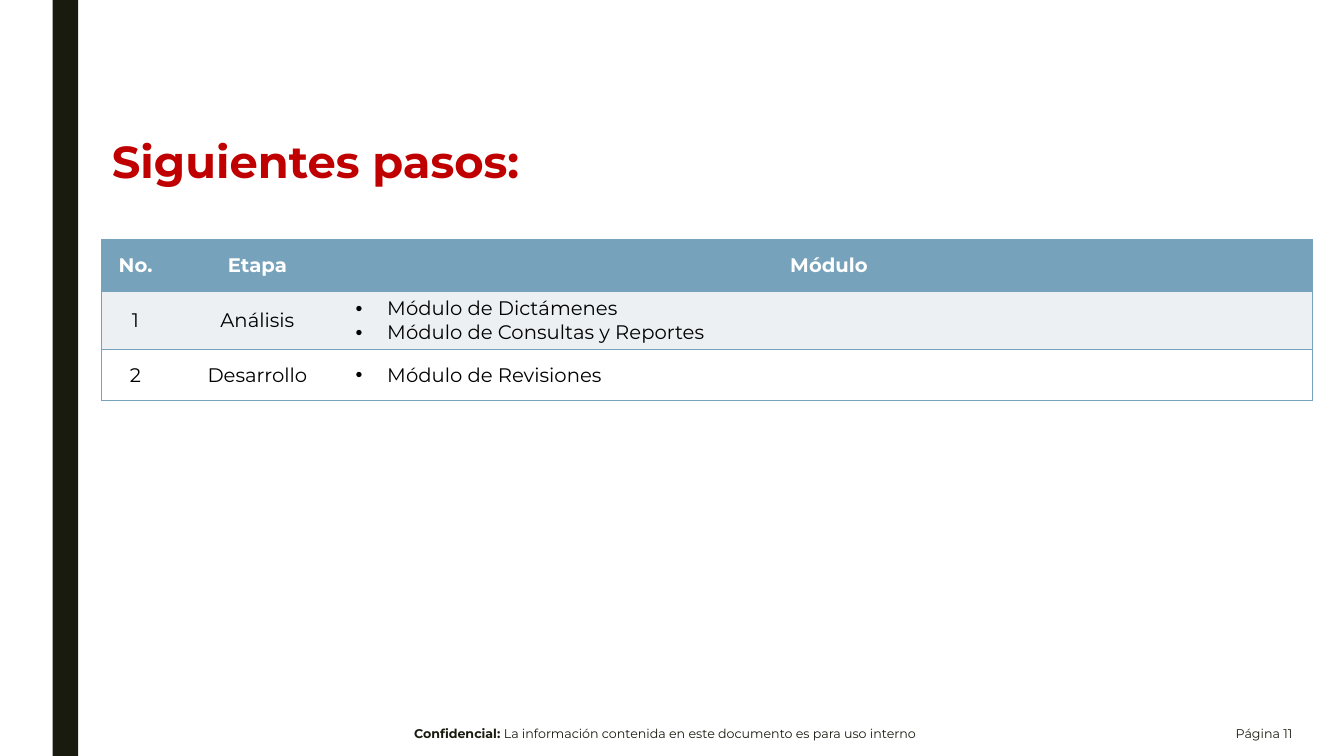
from lxml.etree import SubElement
from pptx import Presentation
from pptx.dml.color import RGBColor
from pptx.enum.shapes import MSO_SHAPE
from pptx.enum.text import MSO_ANCHOR, PP_ALIGN
from pptx.oxml.ns import qn
from pptx.util import Pt

FONT = "Montserrat"
COLOURS = {
    "dark": "191B0E",
    "red": "C00000",
    "blue": "77A2BB",
    "pale": "ECF0F3",
    "white": "FFFFFF",
    "black": "000000",
}
COLUMN_WIDTHS = (48.2, 126, 690.5)
ROW_HEIGHTS = (36.7, 41.4, 36.7)
ROW_FILLS = ("blue", "pale", "white")
STEPS = (
    ("No.", "Etapa", "Módulo"),
    ("1", "Análisis", ("Módulo de Dictámenes", "Módulo de Consultas y Reportes")),
    ("2", "Desarrollo", ("Módulo de Revisiones",)),
)


def colour(name):
    return RGBColor.from_string(COLOURS[name])


def write(para, text, size=14, fill="black", bold=False, align=PP_ALIGN.CENTER):
    para.alignment = align
    span = para.add_run()
    span.text = text
    span.font.name = FONT
    span.font.size = Pt(size)
    span.font.bold = bold
    span.font.color.rgb = colour(fill)


def place(shape, left, top, width, height):
    shape.left, shape.top = Pt(left), Pt(top)
    shape.width, shape.height = Pt(width), Pt(height)


def add_side_bar(page):
    bar = page.shapes.add_shape(MSO_SHAPE.RECTANGLE, Pt(37.6), Pt(0), Pt(18.2), Pt(540))
    bar.shadow.inherit = False
    bar.fill.solid()
    bar.fill.fore_color.rgb = colour("dark")
    bar.line.fill.background()


def set_title(page, text):
    title = page.shapes.title
    place(title, 72.7, 96.5, 460, 42.5)
    title.text_frame.vertical_anchor = MSO_ANCHOR.TOP
    para = title.text_frame.paragraphs[0]
    para.line_spacing = 0.9
    write(para, text, size=32, fill="red", bold=True, align=PP_ALIGN.JUSTIFY)


def add_footer(page, left, width, spans, align):
    box = page.shapes.add_textbox(Pt(left), Pt(508.3), Pt(width), Pt(31.7))
    box.text_frame.word_wrap = True
    box.text_frame.vertical_anchor = MSO_ANCHOR.MIDDLE
    for text, bold in spans:
        write(box.text_frame.paragraphs[0], text, size=9, fill="dark", bold=bold, align=align)


def add_bullet(para):
    properties = para._p.get_or_add_pPr()
    properties.set("marL", str(Pt(22.5)))
    properties.set("indent", str(-Pt(22.5)))
    SubElement(properties, qn("a:buFont"), typeface="Arial")
    SubElement(properties, qn("a:buChar"), char="•")


def set_borders(cell, visible_sides):
    properties = cell._tc.get_or_add_tcPr()
    for side in "LRTB":
        line = SubElement(properties, qn(f"a:ln{side}"), w=str(Pt(1)))
        if side in visible_sides:
            fill = SubElement(line, qn("a:solidFill"))
            SubElement(fill, qn("a:srgbClr"), val=COLOURS["blue"])
        else:
            SubElement(line, qn("a:noFill"))


def fill_cell(cell, content, fill, header):
    cell.vertical_anchor = MSO_ANCHOR.MIDDLE
    cell.fill.solid()
    cell.fill.fore_color.rgb = colour(fill)
    frame = cell.text_frame
    if isinstance(content, str):
        write(frame.paragraphs[0], content, fill="white" if header else "black", bold=header)
        return
    for index, text in enumerate(content):
        para = frame.add_paragraph() if index else frame.paragraphs[0]
        write(para, text, align=PP_ALIGN.JUSTIFY)
        add_bullet(para)


def add_steps_table(page):
    frame = page.shapes.add_table(
        len(STEPS), len(COLUMN_WIDTHS), Pt(72.7), Pt(171.4),
        Pt(sum(COLUMN_WIDTHS)), Pt(sum(ROW_HEIGHTS)),
    )
    table = frame.table
    for column, width in zip(table.columns, COLUMN_WIDTHS):
        column.width = Pt(width)
    for row, height in zip(table.rows, ROW_HEIGHTS):
        row.height = Pt(height)
    for row_index, (step, fill) in enumerate(zip(STEPS, ROW_FILLS)):
        for column_index, (content, sides) in enumerate(zip(step, ("LTB", "TB", "RTB"))):
            cell = table.cell(row_index, column_index)
            set_borders(cell, sides)
            fill_cell(cell, content, fill, header=row_index == 0)


def main():
    deck = Presentation()
    deck.slide_width, deck.slide_height = Pt(960), Pt(540)
    page = deck.slides.add_slide(deck.slide_layouts[5])
    add_side_bar(page)
    set_title(page, "Siguientes pasos:")
    add_steps_table(page)
    notice = (
        ("Confidencial: ", True),
        ("La información contenida en este documento es para uso interno", False),
    )
    add_footer(page, 227.5, 494.6, notice, PP_ALIGN.CENTER)
    add_footer(page, 804.2, 126, (("Página 11", False),), PP_ALIGN.RIGHT)
    deck.save("out.pptx")


if __name__ == "__main__":
    main()
